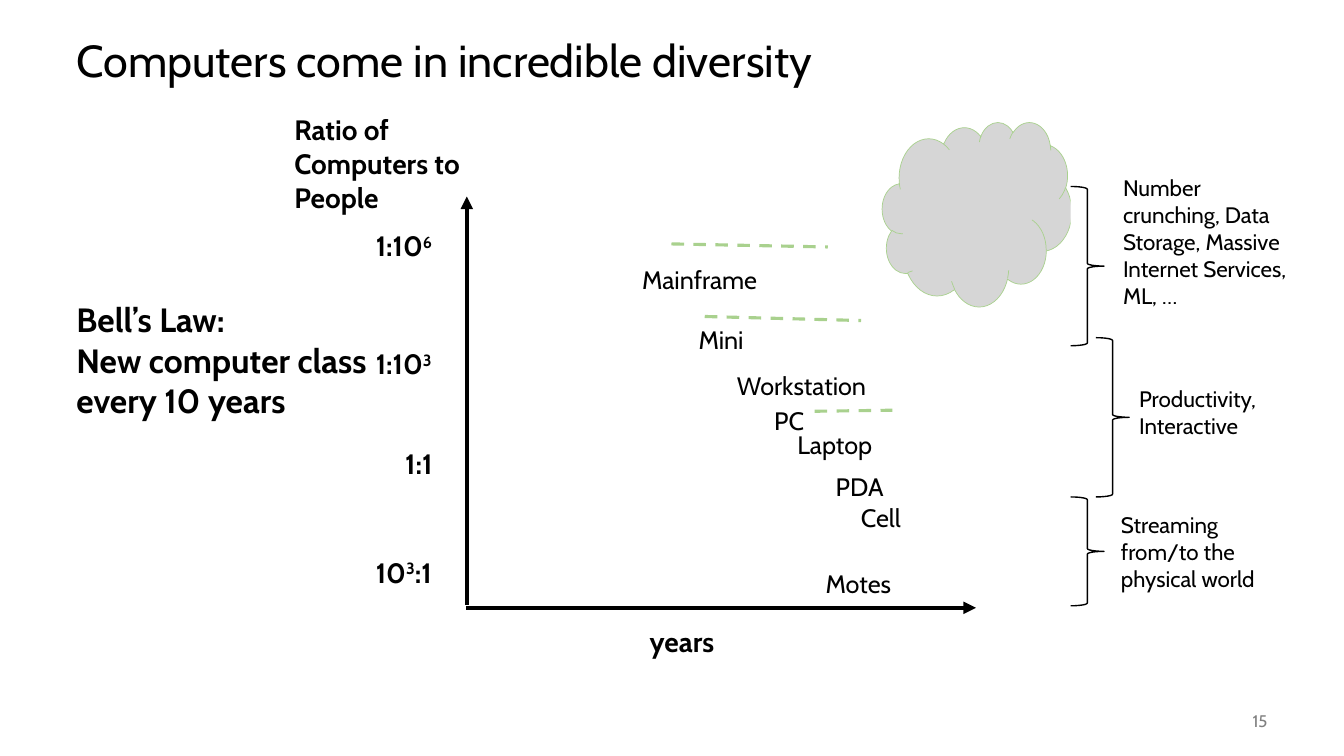
from dataclasses import dataclass

from lxml import etree
from pptx import Presentation
from pptx.dml.color import RGBColor
from pptx.enum.dml import MSO_LINE
from pptx.enum.shapes import MSO_CONNECTOR, MSO_SHAPE
from pptx.enum.text import MSO_ANCHOR, PP_ALIGN
from pptx.oxml.ns import qn
from pptx.util import Inches, Pt

LEFT, CENTER, RIGHT = PP_ALIGN.LEFT, PP_ALIGN.CENTER, PP_ALIGN.RIGHT
TOP, MIDDLE = MSO_ANCHOR.TOP, MSO_ANCHOR.MIDDLE
STRAIGHT, DASH = MSO_CONNECTOR.STRAIGHT, MSO_LINE.DASH
CLOUD, BRACE = MSO_SHAPE.CLOUD, MSO_SHAPE.RIGHT_BRACE

WIDTH, HEIGHT = Inches(13.33), Inches(7.5)
COL, ROW = WIDTH / 133.3, HEIGHT / 75


@dataclass(frozen=True)
class Theme:
    font: str = "Cabin"
    ink: str = "000000"
    muted: str = "808080"
    paper: str = "FFFFFF"
    accent: str = "A9D18E"
    title: int = 32
    law: int = 24
    axis: int = 20
    label: int = 18
    note: int = 16
    number: int = 12


THEME = Theme()

SCALE = [
    (36.3, 22.2, 10, "1:10^6"),
    (36.3, 33.9, 10, "1:10^3"),
    (39.2, 43.8, 7.2, "1:1"),
    (36.3, 54.6, 10, "10^3^:1"),
]
CLASSES = [
    (62.7, 25.7, 20.5, "Mainframe"),
    (68.3, 31.7, 11.1, "Mini"),
    (72.1, 36.2, 19.7, "Workstation"),
    (75.8, 39.7, 7.3, "PC"),
    (78.1, 42.1, 16.1, "Laptop"),
    (81.9, 46.3, 9.4, "PDA"),
    (84.4, 49.3, 7.7, "Cell"),
    (80.9, 55.9, 9.7, "Motes"),
]
DASHES = [
    (66.6, 24.2, 82.1, 24.5),
    (69.9, 31.4, 85.4, 31.8),
    (80.8, 40.8, 88.5, 40.7),
]
AXES = [(46.2, 60.3, 96.8, 60.3), (46.3, 60, 46.3, 19.5)]
BRACES = [
    (106.2, 18.5, 3.3, 15.8),
    (108.7, 33.5, 3.3, 15.8),
    (106.2, 49.3, 3.3, 10.8),
]
NOTES = [
    (110.4, 16.8, 19.4, 14.5,
     ["Number crunching, Data Storage, Massive Internet Services,", "ML, …"]),
    (112, 37.7, 16.7, 6.4, ["Productivity,", "Interactive"]),
    (110.2, 50.2, 16.7, 9.1, ["Streaming from/to the physical world"]),
]


def rgb(value):
    return RGBColor.from_string(value)


def grid(x, y, w, h):
    return round(x * COL), round(y * ROW), round(w * COL), round(h * ROW)


def add_runs(p, text, size, bold, color):
    for i, part in enumerate(text.split("^")):
        r = p.add_run()
        r.text = part
        r.font.name = THEME.font
        r.font.size = Pt(size)
        r.font.bold = bold
        r.font.color.rgb = rgb(color)
        if i % 2:
            r._r.get_or_add_rPr().set("baseline", "30000")


def add_text(s, box, paragraphs, size, bold=False, color=THEME.ink,
             align=LEFT, anchor=TOP, spacing=None):
    tf = s.shapes.add_textbox(*grid(*box)).text_frame
    tf.word_wrap = True
    tf.vertical_anchor = anchor
    for i, lines in enumerate(paragraphs):
        p = tf.add_paragraph() if i else tf.paragraphs[0]
        p.alignment = align
        p.line_spacing = spacing
        for j, line in enumerate(lines.split("\n")):
            if j:
                p.add_line_break()
            add_runs(p, line, size, bold, color)


def add_line(s, ends, color, width, dash=None, arrow=False):
    x1, y1, x2, y2 = ends
    begin, end = grid(x1, y1, 0, 0)[:2], grid(x2, y2, 0, 0)[:2]
    line = s.shapes.add_connector(STRAIGHT, *begin, *end)
    line.line.color.rgb = rgb(color)
    line.line.width = Pt(width)
    if dash:
        line.line.dash_style = dash
    if arrow:
        etree.SubElement(line.line._get_or_add_ln(), qn("a:tailEnd"), type="triangle")
    etree.SubElement(line._element.spPr, qn("a:effectLst"))


def add_shape(s, kind, box, fill, line, width, opacity=None):
    sp = s.shapes.add_shape(kind, *grid(*box))
    sp.shadow.inherit = False
    sp.fill.solid()
    sp.fill.fore_color.rgb = rgb(fill)
    sp.line.color.rgb = rgb(line)
    sp.line.width = Pt(width)
    if opacity:
        color = sp._element.spPr.find(qn("a:solidFill"))[0]
        etree.SubElement(color, qn("a:alpha"), val=str(opacity * 1000))


def add_chart_area(s):
    add_text(s, (62.1, 61.5, 11.1, 4.4), ["years"], THEME.axis, True, align=CENTER)
    add_text(s, (28.2, 10.7, 20.2, 11.1), ["Ratio of Computers to People"],
             THEME.axis, True)
    for x, y, w, text in SCALE:
        add_text(s, (x, y, w, 4.4), [text], THEME.axis, True)
    for ends in AXES:
        add_line(s, ends, THEME.ink, 3, arrow=True)
    for x, y, w, text in CLASSES:
        add_text(s, (x, y, w, 4.1), [text], THEME.label)
    for ends in DASHES:
        add_line(s, ends, THEME.accent, 2.25, dash=DASH)


def add_uses(s):
    add_shape(s, CLOUD, (87.5, 12.1, 18.8, 18.3), THEME.ink, THEME.accent, 0.5, 16)
    for box in BRACES:
        add_shape(s, BRACE, box, THEME.paper, THEME.ink, 1)
    for *box, paragraphs in NOTES:
        add_text(s, box, paragraphs, THEME.note)


def main():
    prs = Presentation()
    prs.slide_width, prs.slide_height = WIDTH, HEIGHT
    s = prs.slides.add_slide(prs.slide_layouts[6])
    add_text(s, (6.6, 2.5, 120, 7.5), ["Computers come in incredible diversity"],
             THEME.title, anchor=MIDDLE, spacing=0.9)
    add_text(s, (116.7, 69.5, 10, 4), ["15"], THEME.number, color=THEME.muted,
             align=RIGHT, anchor=MIDDLE)
    add_chart_area(s)
    add_text(s, (6.6, 29.2, 31.8, 17.2),
             ["Bell’s Law:\nNew computer class every 10 years"], THEME.law, True)
    add_uses(s)
    prs.save("out.pptx")


if __name__ == "__main__":
    main()
